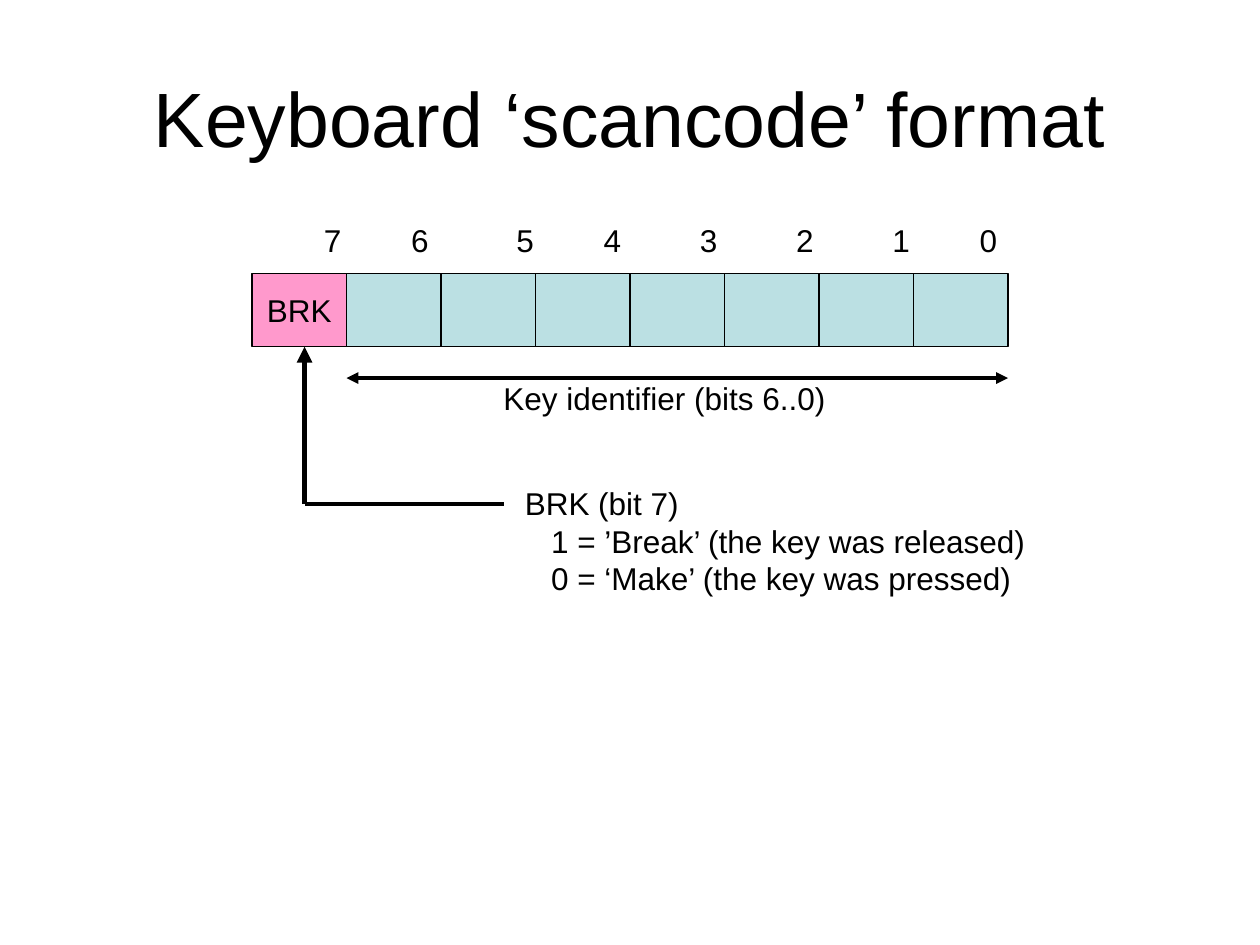
from itertools import accumulate

from lxml.etree import SubElement
from pptx import Presentation
from pptx.dml.color import RGBColor
from pptx.enum.shapes import MSO_CONNECTOR as Connector, MSO_SHAPE as Shape
from pptx.enum.text import MSO_ANCHOR as Anchor, PP_ALIGN as Align
from pptx.oxml.ns import qn
from pptx.util import Cm, Pt

COLOURS = {"ink": "000000", "break": "FF99CC", "key": "BBE0E3"}


class ScancodeSlide:
    """Draws the scancode diagram in one consistent style."""

    def __init__(self, slide, font="Arial", size=18):
        self.slide = slide
        self.font = font
        self.size = size

    def colour(self, name):
        return RGBColor.from_string(COLOURS[name])

    def style(self, paragraph, size=None, align=Align.LEFT):
        paragraph.alignment = align
        font = paragraph.font
        font.name = self.font
        font.size = Pt(size or self.size)
        font.color.rgb = self.colour("ink")

    def text(self, lines, left, top, width, height, size=None,
             align=Align.LEFT, anchor=Anchor.TOP, indent=0, tabs=()):
        box = self.slide.shapes.add_textbox(Cm(left), Cm(top), Cm(width), Cm(height))
        frame = box.text_frame
        frame.word_wrap = True
        frame.vertical_anchor = anchor
        frame.text = "\n".join(lines)
        for index, paragraph in enumerate(frame.paragraphs):
            properties = paragraph._p.get_or_add_pPr()
            if index and indent:
                properties.set("marL", str(Cm(indent)))
            if tabs:
                stops = SubElement(properties, qn("a:tabLst"))
                for position in tabs:
                    SubElement(stops, qn("a:tab"), pos=str(Cm(position)), algn="l")
            self.style(paragraph, size, align)
        return box

    def cell(self, left, top, width, height, fill, label=""):
        shape = self.slide.shapes.add_shape(
            Shape.RECTANGLE, Cm(left), Cm(top), Cm(width), Cm(height))
        shape.shadow.inherit = False
        shape.fill.solid()
        shape.fill.fore_color.rgb = self.colour(fill)
        shape.line.color.rgb = self.colour("ink")
        shape.line.width = Pt(0.75)
        if label:
            shape.text_frame.text = label
            shape.text_frame.vertical_anchor = Anchor.MIDDLE
            self.style(shape.text_frame.paragraphs[0], align=Align.CENTER)

    def line(self, start, end, width=2.25, arrows=()):
        connector = self.slide.shapes.add_connector(
            Connector.STRAIGHT, *(Cm(value) for value in (*start, *end)))
        connector.line.color.rgb = self.colour("ink")
        connector.line.width = Pt(width)
        outline = connector.line._get_or_add_ln()
        for arrow in arrows:
            SubElement(outline, qn(f"a:{arrow}"), type="triangle")
        SubElement(connector._element.spPr, qn("a:effectLst"))


def main():
    presentation = Presentation()
    presentation.slide_width, presentation.slide_height = Cm(25.4), Cm(19.05)
    slide = presentation.slides.add_slide(presentation.slide_layouts[6])
    diagram = ScancodeSlide(slide)

    diagram.text(["Keyboard ‘scancode’ format"], 1.27, 0.76, 22.86, 3.18,
                 size=44, align=Align.CENTER, anchor=Anchor.MIDDLE)

    bits, left, top, width, height = 8, 5.08, 5.51, 1.905, 1.48
    right, bottom = left + bits * width, top + height
    for index in range(bits):
        fill, label = ("key", "") if index else ("break", "BRK")
        diagram.cell(left + index * width, top, width, height, fill, label)

    digit_steps = [1.76, 2.12, 1.76, 1.94, 1.94, 1.94, 1.76]
    numbers = "\t".join(str(bit) for bit in reversed(range(bits)))
    bit_row = diagram.text([numbers], 6.1, 4.34, 14.28, 1.02,
                           tabs=list(accumulate(digit_steps)))
    bit_row.text_frame.margin_left = Cm(0.43)

    diagram.line((left + width, 7.62), (right, 7.62), arrows=("headEnd", "tailEnd"))
    diagram.text(["Key identifier (bits 6..0)"], 9.9, 7.52, 7.1, 1.02)

    corner = (6.14, 10.16)
    diagram.line(corner, (corner[0], bottom), width=3, arrows=("tailEnd",))
    diagram.line(corner, (10.16, corner[1]))
    diagram.text(["BRK (bit 7)",
                  "1 = ’Break’ (the key was released)",
                  "0 = ‘Make’ (the key was pressed)"],
                 10.33, 9.63, 10.7, 2.54, indent=0.53)

    presentation.save("out.pptx")


if __name__ == "__main__":
    main()
